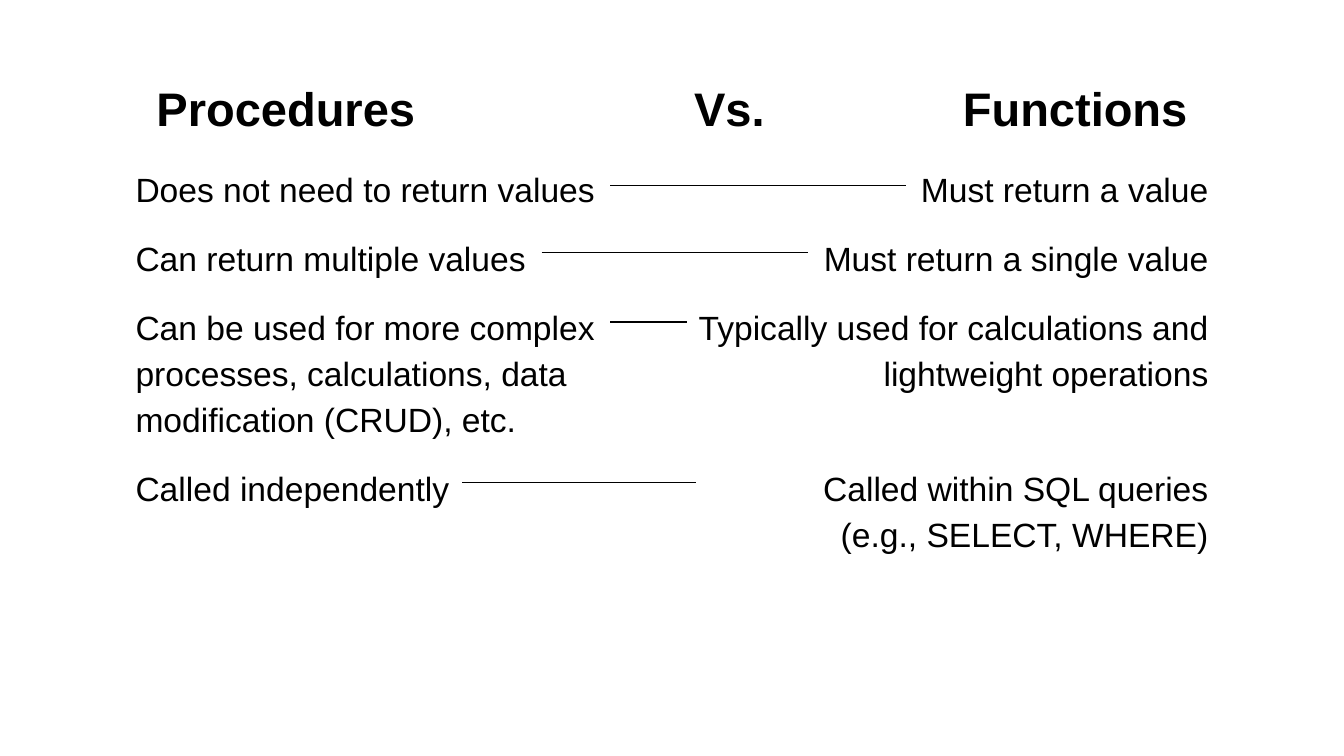
"""Build a slide that compares procedures with functions."""
from dataclasses import dataclass

from pptx import Presentation, util as u
from pptx.dml.color import RGBColor
from pptx.enum import shapes, text
from pptx.oxml.ns import qn
from lxml import etree

WIDTH = u.Inches(10)
HEIGHT = WIDTH * 9 // 16
COLOURS = {"ink": "000000", "paper": "FFFFFF"}
FONT = "Arial"
BODY_SIZE, TITLE_SIZE = 18, 25.2
GAP, LINE_PITCH = 12, 24.65
TITLE_TABS = (0.3, 0.4, 0.5, 0.6)
INK = RGBColor.from_string(COLOURS["ink"])


@dataclass(frozen=True)
class Area:
    """Rectangle in shares of the slide."""
    left: float
    top: float
    width: float
    height: float


@dataclass(frozen=True)
class Point:
    """Statement with the space above it, in points."""
    words: str
    before: float = GAP


@dataclass(frozen=True)
class Link:
    """Level line in shares of the slide."""
    start: float
    end: float
    level: float


TITLE = Area(0.034, 0.086, 0.932, 0.112)
PROCEDURES = Area(0.091, 0.198, 0.409, 0.489)
FUNCTIONS = Area(0.5, 0.198, 0.409, 0.552)

PROCEDURE_POINTS = [
    Point("Does not need to return values", 0),
    Point("Can return multiple values"),
    Point("Can be used for more complex processes, calculations, "
          "data modification (CRUD), etc."),
    Point("Called independently"),
]
FUNCTION_POINTS = [
    Point("Must return a value", 0),
    Point("Must return a single value"),
    Point("Typically used for calculations and lightweight operations"),
    Point("Called within SQL queries\n(e.g., SELECT, WHERE)", GAP + LINE_PITCH),
]
LINKS = [
    Link(0.454, 0.674, 0.245),
    Link(0.403, 0.601, 0.334),
    Link(0.454, 0.511, 0.426),
    Link(0.344, 0.518, 0.638),
]


def add_frame(slide, area: Area, anchor):
    """Return the text frame of a new wrapped text box."""
    box = slide.shapes.add_textbox(
        round(area.left * WIDTH), round(area.top * HEIGHT),
        round(area.width * WIDTH), round(area.height * HEIGHT))
    frame = box.text_frame
    frame.word_wrap = True
    frame.vertical_anchor = anchor
    frame.margin_left = frame.margin_right = u.Inches(0.1)
    frame.margin_top = frame.margin_bottom = u.Inches(0.1)
    return frame


def add_words(paragraph, words: str, size: float, bold: bool = False) -> None:
    """Add one run per line of words."""
    for index, line in enumerate(words.split("\n")):
        if index:
            paragraph.add_line_break()
        run = paragraph.add_run()
        run.text = line
        run.font.name, run.font.size, run.font.bold = FONT, u.Pt(size), bold
        run.font.color.rgb = INK


def add_title(slide, area: Area, words: str) -> None:
    """Draw the centred heading with its tab stops."""
    paragraph = add_frame(slide, area, text.MSO_ANCHOR.MIDDLE).paragraphs[0]
    paragraph.alignment = text.PP_ALIGN.CENTER
    stops = etree.SubElement(paragraph._p.get_or_add_pPr(), qn("a:tabLst"))
    for share in TITLE_TABS:
        etree.SubElement(stops, qn("a:tab"), pos=str(round(share * WIDTH)), algn="l")
    add_words(paragraph, words, TITLE_SIZE, bold=True)


def add_points(slide, area: Area, points: list[Point], alignment) -> None:
    """Draw one side of the comparison."""
    frame = add_frame(slide, area, text.MSO_ANCHOR.TOP)
    for index, point in enumerate(points):
        paragraph = frame.add_paragraph() if index else frame.paragraphs[0]
        paragraph.alignment = alignment
        paragraph.line_spacing = 1.15
        paragraph.space_before = u.Pt(point.before)
        add_words(paragraph, point.words, BODY_SIZE)
    paragraph.space_after = u.Pt(GAP)


def add_link(slide, link: Link) -> None:
    """Draw a thin line between matching statements."""
    level = round(link.level * HEIGHT)
    line = slide.shapes.add_connector(
        shapes.MSO_CONNECTOR.STRAIGHT,
        round(link.start * WIDTH), level, round(link.end * WIDTH), level)
    line.line.color.rgb = INK
    line.line.width = u.Pt(0.75)
    etree.SubElement(line._element.spPr, qn("a:effectLst"))


def main() -> None:
    """Assemble and save the slide."""
    deck = Presentation()
    deck.slide_width, deck.slide_height = WIDTH, HEIGHT
    slide = deck.slides.add_slide(deck.slide_layouts[6])
    slide.background.fill.solid()
    slide.background.fill.fore_color.rgb = RGBColor.from_string(COLOURS["paper"])
    add_title(slide, TITLE, "Procedures \t\tVs. \t\tFunctions")
    add_points(slide, PROCEDURES, PROCEDURE_POINTS, text.PP_ALIGN.LEFT)
    add_points(slide, FUNCTIONS, FUNCTION_POINTS, text.PP_ALIGN.RIGHT)
    for link in LINKS:
        add_link(slide, link)
    deck.save("out.pptx")


if __name__ == "__main__":
    main()
